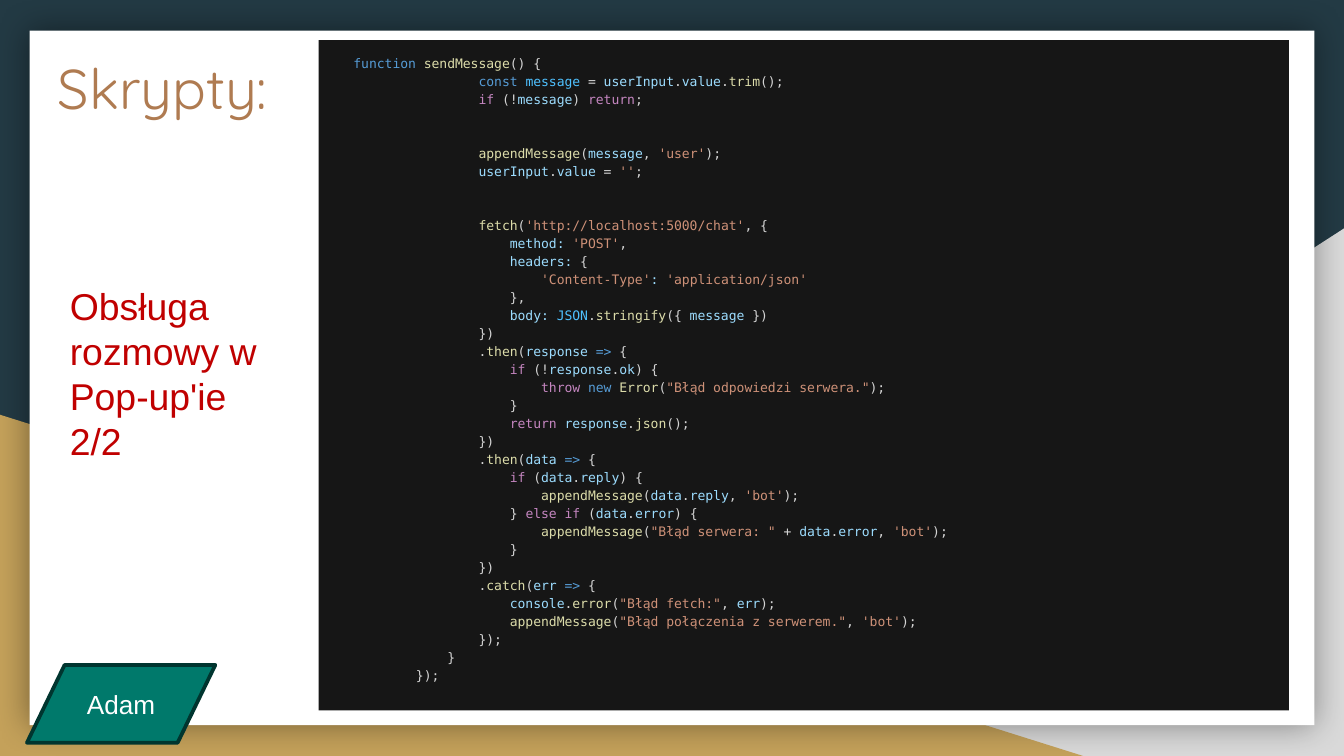
import pptx
import pptx.util
import pptx.dml.color
import pptx.enum.shapes
import pptx.enum.text
import pptx.oxml.ns
from lxml import etree

Cm, Pt = pptx.util.Cm, pptx.util.Pt
SHAPE = pptx.enum.shapes.MSO_SHAPE
ALIGN = pptx.enum.text.PP_ALIGN
ANCHOR = pptx.enum.text.MSO_ANCHOR
AUTO = pptx.enum.text.MSO_AUTO_SIZE
qn = pptx.oxml.ns.qn

COLORS = {
    "background": "233A44", "grey": "D9D9D9", "gold": "C4A15A", "card": "FFFFFF",
    "title": "AF7B51", "editor": "161616", "note": "C00000",
    "badge": "00796B", "badge line": "00352F", "badge text": "FFFFFF",
    # syntax colours, keyed by the letter that opens each piece of CODE
    "k": "569CD6",  # keyword
    "f": "DCDCAA",  # function
    "p": "D4D4D4",  # punctuation
    "c": "4FC1FF",  # constant
    "v": "9CDCFE",  # variable
    "x": "C586C0",  # control flow
    "s": "CE9178",  # string
}

# (indent, pieces split by "|"); None is a gap before the next line
CODE = [
    (0, "kfunction |fsendMessage|p() {"),
    (16, "kconst |cmessage|p = |vuserInput|p.|vvalue|p.|ftrim|p();"),
    (16, "xif|p (!|vmessage|p) |xreturn|p;"),
    None,
    (16, "fappendMessage|p(|vmessage|p, |s'user'|p);"),
    (16, "vuserInput|p.|vvalue|p = |s''|p;"),
    None,
    (16, "ffetch|p(|s'http://localhost:5000/chat'|p, {"),
    (20, "vmethod: |s'POST'|p,"),
    (20, "vheaders:|p {"),
    (24, "s'Content-Type'|v: |s'application/json'"),
    (20, "p},"),
    (20, "vbody: |cJSON|p.|fstringify|p({ |vmessage|p })"),
    (16, "p})"),
    (16, "p.|fthen|p(|vresponse |k=>|p {"),
    (20, "xif|p (!|vresponse|p.|vok|p) {"),
    (24, 'xthrow |knew |fError|p(|s"Błąd odpowiedzi serwera."|p);'),
    (20, "p}"),
    (20, "xreturn |vresponse|p.|fjson|p();"),
    (16, "p})"),
    (16, "p.|fthen|p(|vdata |k=>|p {"),
    (20, "xif|p (|vdata|p.|vreply|p) {"),
    (24, "fappendMessage|p(|vdata|p.|vreply|p, |s'bot'|p);"),
    (20, "p} |xelse if|p (|vdata|p.|verror|p) {"),
    (24, """fappendMessage|p(|s"Błąd serwera: "|p + |vdata|p.|verror|p, |s'bot'|p);"""),
    (20, "p}"),
    (16, "p})"),
    (16, "p.|fcatch|p(|verr |k=>|p {"),
    (20, 'vconsole|p.|ferror|p(|s"Błąd fetch:"|p, |verr|p);'),
    (20, """fappendMessage|p(|s"Błąd połączenia z serwerem."|p, |s'bot'|p);"""),
    (16, "p});"),
    (12, "p}"),
    (8, "p});"),
]


def rgb(name):
    return pptx.dml.color.RGBColor.from_string(COLORS[name])


def add_run(p, text, size, font, color):
    r = p.add_run()
    r.text = text
    r.font.size = Pt(size)
    r.font.name = font
    r.font.color.rgb = rgb(color)


prs = pptx.Presentation()
prs.slide_width, prs.slide_height = Cm(25.4), Cm(14.29)
s = prs.slides.add_slide(prs.slide_layouts[1])
s.background.fill.solid()
s.background.fill.fore_color.rgb = rgb("background")

# Backdrop and badge shapes
shapes = {}
for name, kind, left, top, width, height in [
    ("grey", SHAPE.RIGHT_TRIANGLE, 9.96, 4.32, 15.44, 9.97),
    ("gold", SHAPE.RIGHT_TRIANGLE, 0, 7.84, 20.47, 6.45),
    ("card", SHAPE.RECTANGLE, 0.56, 0.58, 24.28, 13.13),
    ("badge", SHAPE.FLOWCHART_DATA, 0.51, 12.57, 3.56, 1.47),
]:
    sp = s.shapes.add_shape(kind, Cm(left), Cm(top), Cm(width), Cm(height))
    sp.shadow.inherit = False
    sp.fill.solid()
    sp.fill.fore_color.rgb = rgb(name)
    sp.line.fill.background()
    shapes[name] = sp

shapes["grey"].element.spPr.find(qn("a:xfrm")).set("flipH", "1")

effects = shapes["card"].element.spPr.find(qn("a:effectLst"))
shadow = etree.SubElement(effects, qn("a:outerShdw"), blurRad=str(Pt(18)), dist="0",
                          algn="ctr", rotWithShape="0")
black = etree.SubElement(shadow, qn("a:srgbClr"), val="000000")
etree.SubElement(black, qn("a:alpha"), val="40000")

# Title and code panel, raised above the card
title, body = s.shapes.title, s.placeholders[1]
for sp, left, width, height in [(title, 0.84, 4.88, 2.64), (body, 6.02, 18.34, 12.67)]:
    sp.left, sp.top, sp.width, sp.height = Cm(left), Cm(0.76), Cm(width), Cm(height)
    sp.element.getparent().append(sp.element)
    tf = sp.text_frame
    tf.word_wrap = True
    tf.auto_size = AUTO.NONE
    tf.vertical_anchor = ANCHOR.TOP
    tf.margin_left = tf.margin_right = tf.margin_top = tf.margin_bottom = Cm(0.25)

p = title.text_frame.paragraphs[0]
p.alignment = ALIGN.LEFT
add_run(p, "Skrypty:", 30, "Quicksand", "title")

body.fill.solid()
body.fill.fore_color.rgb = rgb("editor")
tf = body.text_frame
p, gap = tf.paragraphs[0], 0
for line in CODE:
    if line is None:
        gap = 19.2
        continue
    if p.runs:
        p = tf.add_paragraph()
    pPr = p._p.get_or_add_pPr()
    pPr.set("marL", str(Cm(1.27)))
    pPr.set("indent", str(Cm(-0.86)))
    etree.SubElement(pPr, qn("a:buNone"))
    p.alignment = ALIGN.LEFT
    p.line_spacing = 1.15
    p.space_before = Pt(gap)
    gap = 0
    indent, code = line
    for piece in code.split("|"):
        add_run(p, " " * indent + piece[1:], 7, "DejaVu Sans Mono", piece[0])
        indent = 0

# Red note
sp = s.shapes.add_textbox(Cm(1.07), Cm(5.23), Cm(4.62), Cm(3.68))
tf = sp.text_frame
tf.word_wrap = True
tf.auto_size = AUTO.SHAPE_TO_FIT_TEXT
add_run(tf.paragraphs[0], "Obsługa rozmowy w Pop-up'ie 2/2", 20, "Arial", "note")

# Name badge on top
sp = shapes["badge"]
sp.element.getparent().append(sp.element)
sp.line.color.rgb = rgb("badge line")
sp.line.width = Pt(2)
sp.text_frame.vertical_anchor = ANCHOR.MIDDLE
p = sp.text_frame.paragraphs[0]
p.alignment = ALIGN.CENTER
add_run(p, "Adam", 14, "Arial", "badge text")

prs.save("out.pptx")
